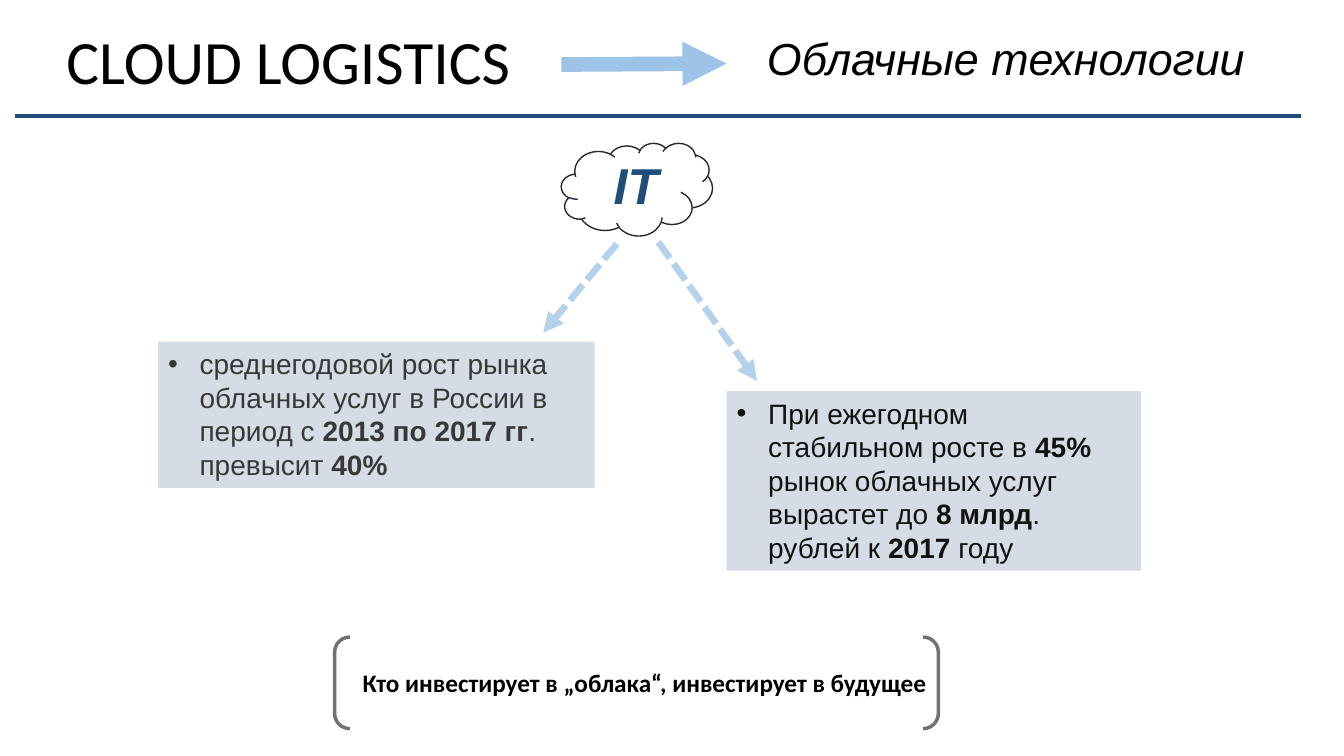
from lxml.etree import SubElement
from pptx import Presentation
from pptx.dml.color import RGBColor
from pptx.enum.dml import MSO_LINE_DASH_STYLE as Dash
from pptx.enum.shapes import MSO_CONNECTOR as Connector, MSO_SHAPE as Shape
from pptx.enum.text import MSO_ANCHOR as Anchor, PP_ALIGN as Align
from pptx.oxml.ns import qn
from pptx.util import Pt

COLORS = {
    "panel": "D6DCE5",
    "navy": "1F4E79",
    "cloud": "FFFFFF",
    "outline": "222A35",
    "arrow": "9DC3E6",
    "branch": "B5D2EC",
    "bracket": "767171",
    "black": "000000",
    "growth": "383838",
    "forecast": "111111",
}


def rgb(name):
    return RGBColor.from_string(COLORS[name])


def add_bullet(para, indent):
    properties = para._p.get_or_add_pPr()
    properties.set("marL", str(Pt(indent)))
    properties.set("indent", str(-Pt(indent)))
    SubElement(properties, qn("a:buFont"), typeface="Arial")
    SubElement(properties, qn("a:buChar"), char="•")


def write_text(box, spans, size, color="black", font="Arial", bold=False, italic=False,
               align=Align.LEFT, anchor=Anchor.TOP, wrap=True, spacing=None, bullet=None):
    frame = box.text_frame
    frame.word_wrap = wrap
    frame.vertical_anchor = anchor
    para = frame.paragraphs[0]
    para.alignment = align
    if spacing:
        para.line_spacing = spacing
    if bullet:
        add_bullet(para, bullet)
    for position, words in enumerate(spans):
        span = para.add_run()
        span.text = words
        span.font.name = font
        span.font.size = Pt(size)
        span.font.bold = bold or position % 2 == 1
        span.font.italic = italic
        span.font.color.rgb = rgb(color)


def add_label(slide, place, words, size, **style):
    box = slide.shapes.add_textbox(*map(Pt, place))
    write_text(box, [words], size, **style)


def add_figure(slide, kind, place, fill=None, line=None, width=1):
    figure = slide.shapes.add_shape(kind, *map(Pt, place))
    figure.shadow.inherit = False
    if fill:
        figure.fill.solid()
        figure.fill.fore_color.rgb = rgb(fill)
    else:
        figure.fill.background()
    if line:
        figure.line.color.rgb = rgb(line)
        figure.line.width = Pt(width)
    else:
        figure.line.fill.background()
    return figure


def add_panel(slide, place, spans, color):
    panel = add_figure(slide, Shape.RECTANGLE, place, fill="panel")
    write_text(panel, spans, 20, color=color, bullet=22.5)


def add_line(slide, start, end, color, width, dash=None, arrow=False):
    line = slide.shapes.add_connector(Connector.STRAIGHT, *map(Pt, start + end))
    line.line.color.rgb = rgb(color)
    line.line.width = Pt(width)
    if dash:
        line.line.dash_style = dash
    if arrow:
        SubElement(line.line._get_or_add_ln(), qn("a:tailEnd"), type="triangle")
    SubElement(line._element.spPr, qn("a:effectLst"))


def main():
    deck = Presentation()
    deck.slide_width, deck.slide_height = Pt(960), Pt(540)
    slide = deck.slides.add_slide(deck.slide_layouts[6])

    add_label(slide, (40.3, 5, 627, 82), "CLOUD LOGISTICS", 44,
              font="Calibri", anchor=Anchor.MIDDLE, spacing=0.9)
    add_line(slide, (401, 46.1), (519, 45.4), "arrow", 10.5, arrow=True)
    add_label(slide, (540.7, 18.7, 358.6, 46), "Облачные технологии", 32,
              italic=True, wrap=False)
    add_line(slide, (10.8, 82.8), (929.5, 82.8), "navy", 3)

    add_figure(slide, Shape.CLOUD, (401, 102.2, 108, 66.2), fill="cloud", line="outline")
    add_label(slide, (431.3, 106.6, 46.8, 51), "IT", 36,
              color="navy", bold=True, italic=True, wrap=False)
    for start, end in (((470.2, 172.8), (540.7, 272.2)), ((440.6, 174.2), (388, 237.6))):
        add_line(slide, start, end, "branch", 4.75, dash=Dash.SQUARE_DOT, arrow=True)

    add_panel(slide, (113, 244.1, 311.8, 104.4), [
        "среднегодовой рост рынка облачных услуг в России в период с ",
        "2013 по 2017 гг", ". превысит ", "40%"], "growth")
    add_panel(slide, (519.1, 279.4, 295.9, 128.2), [
        "При ежегодном стабильном росте в ", "45%",
        " рынок облачных услуг вырастет до ", "8 млрд",
        ". рублей к ", "2017", " году"], "forecast")

    add_label(slide, (249.8, 473, 421.2, 28.8),
              "Кто инвестирует в „облака“, инвестирует в будущее", 18,
              font="Calibri", bold=True, align=Align.CENTER, wrap=False)
    add_figure(slide, Shape.DOUBLE_BRACKET, (239, 455, 431.3, 65.5), line="bracket", width=2.5)

    deck.save("out.pptx")


if __name__ == "__main__":
    main()
